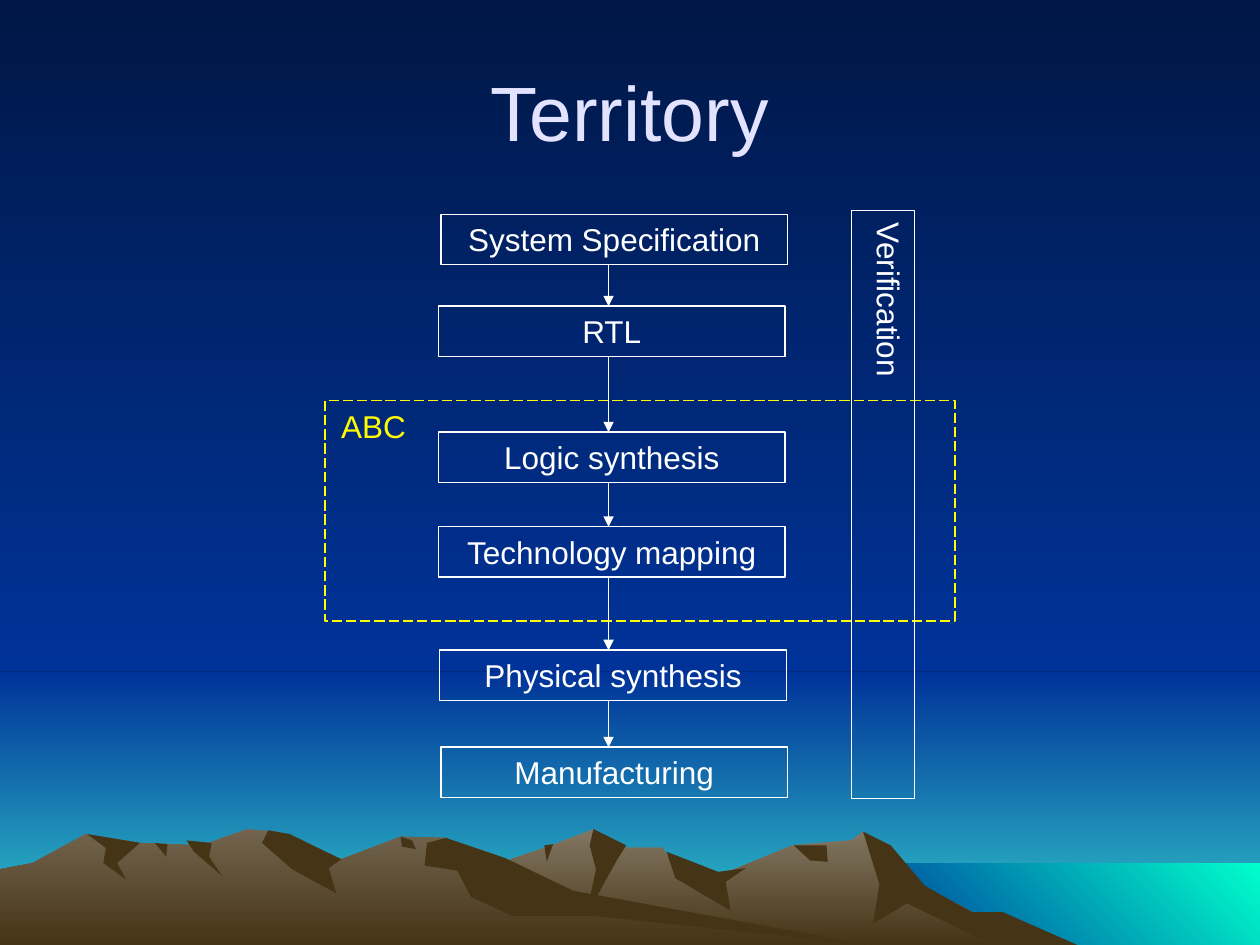
import pptx
import pptx.util
import pptx.dml.color
import pptx.enum.dml
import pptx.enum.shapes
import pptx.enum.text
import pptx.oxml.ns
from lxml import etree

Inches = pptx.util.Inches
Pt = pptx.util.Pt
RGB = pptx.dml.color.RGBColor.from_string
RECT = pptx.enum.shapes.MSO_SHAPE.RECTANGLE
ALIGN = pptx.enum.text.PP_ALIGN
ANCHOR = pptx.enum.text.MSO_ANCHOR
qn = pptx.oxml.ns.qn

theme = {
    "font": "Arial", "title_size": 44, "body_size": 18, "line_width": 0.75,
    "title": "E3E3FF", "text": "FFFFFF", "scope": "FFFF00",
    "night": "001746", "blue": "003399", "horizon": "33CCCC", "sea": "00FFCC",
    "ridge": "837763", "range": "72644E", "shade": "463416",
}


def paint(fill, colors, angle=90):
    if len(colors) == 1:
        fill.solid()
        fill.fore_color.rgb = RGB(theme[colors[0]])
        return
    fill.gradient()
    fill.gradient_angle = 360 - angle
    for stop, color in zip(fill.gradient_stops, colors):
        stop.color.rgb = RGB(theme[color])


def write(sp, text, color, size, align, anchor, insets=(0.1, 0.05)):
    tf = sp.text_frame
    dx, dy = map(Inches, insets)
    frame = {"word_wrap": True, "vertical_anchor": anchor, "margin_left": dx,
             "margin_right": dx, "margin_top": dy, "margin_bottom": dy}
    for name, value in frame.items():
        setattr(tf, name, value)
    p = tf.paragraphs[0]
    p.alignment = align
    r = p.add_run()
    r.text = text
    for name, value in {"name": theme["font"], "size": Pt(theme[size])}.items():
        setattr(r.font, name, value)
    r.font.color.rgb = RGB(theme[color])


prs = pptx.Presentation()
prs.slide_width, prs.slide_height = Inches(10), Inches(7.5)
s = prs.slides.add_slide(prs.slide_layouts[5])
paint(s.background.fill, ("night", "blue"))

scenery = [
    (0, 5.33, 10, 2.17, ("blue", "horizon"), 90),
    (0, 0, 10, 5.33, ("night", "blue"), 90),
    (6.83, 6.85, 3.17, 0.65, ("sea", "blue"), 135),
]
for x, y, w, h, colors, angle in scenery:
    sp = s.shapes.add_shape(RECT, Inches(x), Inches(y), Inches(w), Inches(h))
    sp.shadow.inherit = False
    sp.line.fill.background()
    paint(sp.fill, colors, angle)

mountains = [
    (("ridge", "shade"), [
        (8.2, 7.5), (7.23, 6.98), (6.85, 6.6), (6.76, 6.67), (6.29, 6.71), (5.66, 6.97),
        (5.36, 6.9), (5.26, 6.73), (4.86, 6.73), (4.71, 6.58), (4.38, 6.71), (3.27, 7.09),
        (2.58, 7.5)]),
    (("shade",), [
        (7.96, 7.24), (7.71, 7.24), (7.34, 7.03), (7.07, 6.71), (6.85, 6.6), (6.98, 7.02),
        (6.93, 7.33), (7.2, 7.17), (7.88, 7.5), (8.55, 7.5)]),
    (("shade",), [
        (4.71, 6.58), (4.68, 6.71), (4.73, 6.9), (4.65, 7.27), (4.9, 6.82), (4.97, 6.71)]),
    (("shade",), [
        (5.29, 6.76), (5.36, 6.97), (5.8, 7.23), (5.76, 7), (5.92, 6.89), (5.7, 6.92)]),
    (("shade",), [(6.3, 6.71), (6.43, 6.83), (6.57, 6.84), (6.56, 6.71)]),
    (("shade",), [(4.32, 6.71), (4.39, 6.7), (4.34, 6.84)]),
    (("range", "shade"), [
        (6.9, 7.5), (4.32, 7.12), (3.54, 6.65), (3.18, 6.64), (2.71, 6.82), (2.19, 6.6),
        (1.96, 6.58), (1.6, 6.71), (1.11, 6.69), (0.68, 6.62), (0.26, 6.85), (0, 6.9),
        (0, 7.5)]),
    (("shade",), [
        (2.13, 6.59), (2.08, 6.69), (2.32, 6.9), (2.67, 7.09), (2.61, 6.89), (2.71, 6.82),
        (2.3, 6.62)]),
    (("shade",), [
        (3.54, 6.65), (3.39, 6.69), (3.37, 6.87), (3.63, 6.91), (3.74, 7.12), (4.07, 7.27),
        (4.72, 7.27), (6.9, 7.5), (4.55, 7.07), (4.01, 6.81)]),
    (("shade",), [(3.18, 6.64), (3.27, 6.67), (3.3, 6.74), (3.19, 6.72)]),
    (("shade",), [(1.48, 6.67), (1.68, 6.69), (1.66, 6.8), (1.76, 6.95), (1.54, 6.76)]),
    (("shade",), [(1.23, 6.69), (1.33, 6.7), (1.32, 6.8)]),
    (("shade",), [
        (0.69, 6.62), (1.11, 6.69), (0.93, 6.85), (1, 6.98), (0.82, 6.85), (0.84, 6.73)]),
]
for colors, points in mountains:
    units = [(x * 100, y * 100) for x, y in points]
    outline = s.shapes.build_freeform(*units[0], scale=Inches(0.01))
    outline.add_line_segments(units[1:], close=True)
    sp = outline.convert_to_shape()
    sp.shadow.inherit = False
    sp.line.fill.background()
    paint(sp.fill, colors)

title = s.shapes.title
place = {"left": 0.5, "top": 0.25, "width": 9, "height": 1.25}
for name, value in place.items():
    setattr(title, name, Inches(value))
write(title, "Territory", "title", "title_size", ALIGN.CENTER, ANCHOR.MIDDLE)
title._element.getparent().append(title._element)

step_w, step_h = 2.75, 0.4
steps = [
    (3.5, 1.7, "System Specification"),
    (3.48, 2.43, "RTL"),
    (3.48, 3.43, "Logic synthesis"),
    (3.48, 4.18, "Technology mapping"),
    (3.49, 5.16, "Physical synthesis"),
    (3.5, 5.93, "Manufacturing"),
]
boxes = [(x, y, step_w, step_h, text, "text") for x, y, text in steps]
boxes += [(2.58, 3.18, 5, 1.75, None, "scope"),
          (6.76, 1.67, 0.5, 4.67, "Verification", "text")]
for x, y, w, h, text, color in boxes:
    sp = s.shapes.add_shape(RECT, Inches(x), Inches(y), Inches(w), Inches(h))
    sp.shadow.inherit = False
    sp.fill.background()
    sp.line.color.rgb = RGB(theme[color])
    sp.line.width = Pt(theme["line_width"])
    if text is None:
        sp.line.dash_style = pptx.enum.dml.MSO_LINE.LONG_DASH
        continue
    upright = h > w
    insets = (0.05, 0.1) if upright else (0.1, 0.05)
    write(sp, text, color, "body_size", ALIGN.CENTER, ANCHOR.TOP, insets)
    if upright:
        sp.text_frame._txBody.bodyPr.set("vert", "eaVert")

sp = s.shapes.add_textbox(Inches(2.61), Inches(3.18), Inches(1.66), Inches(step_h))
write(sp, "ABC", "scope", "body_size", ALIGN.LEFT, ANCHOR.TOP)

arrow_x = Inches(4.83)
for (_, upper, _), (_, lower, _) in zip(steps, steps[1:]):
    arrow = s.shapes.add_connector(pptx.enum.shapes.MSO_CONNECTOR.STRAIGHT, arrow_x,
                                   Inches(upper + step_h), arrow_x, Inches(lower))
    arrow.line.color.rgb = RGB(theme["text"])
    arrow.line.width = Pt(theme["line_width"])
    etree.SubElement(arrow.line._get_or_add_ln(), qn("a:tailEnd"), type="triangle")
    etree.SubElement(arrow._element.spPr, qn("a:effectLst"))

prs.save("out.pptx")
